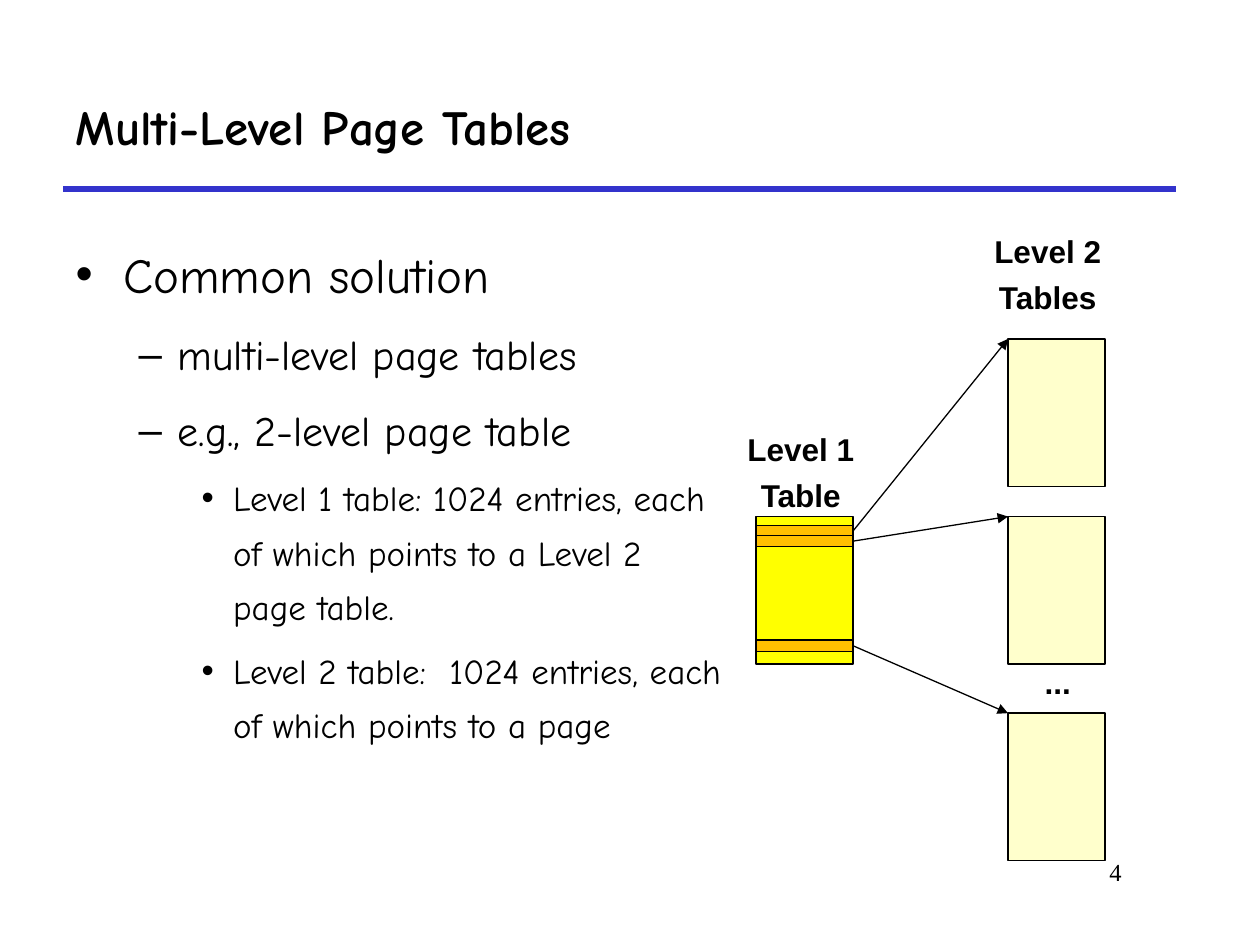
from dataclasses import dataclass

from lxml import etree
from pptx import Presentation, util as u
from pptx.dml.color import RGBColor
from pptx.enum import shapes, text
from pptx.oxml import ns


@dataclass(frozen=True)
class Theme:
    ink: str = "000000"
    rule: str = "3333CC"
    root: str = "FFFF00"
    leaf: str = "FFFFCC"
    entry: str = "FFC000"
    main: str = "Comic Neue"
    label: str = "Arial"
    number: str = "Times New Roman"
    head: int = 28
    tag: int = 18
    small: int = 14
    thin: float = 0.75
    thick: float = 3
    # Per list level: size, space before, left margin, hang, bullet
    levels: tuple = (
        (28, 7, 0.38, 0.38, "•"),
        (24, 6, 0.81, 0.31, "–"),
        (20, 5, 1.25, 0.25, "•"),
    )


def color(code):
    return RGBColor.from_string(code)


def child(node, tag, **attrs):
    return etree.SubElement(node, ns.qn(tag), **attrs)


class Deck:
    def __init__(self, slide, theme):
        self.slide, self.theme = slide, theme

    def place(self, item, left, top, width, height):
        item.left, item.top = u.Inches(left), u.Inches(top)
        item.width, item.height = u.Inches(width), u.Inches(height)

    def style(self, par, face, size, bold=False):
        font = par.font
        font.name, font.size, font.bold = face, u.Pt(size), bold
        font.color.rgb = color(self.theme.ink)

    def title(self, words, *area):
        item = self.slide.shapes.title
        self.place(item, *area)
        frame = item.text_frame
        frame.text = words
        frame.auto_size = text.MSO_AUTO_SIZE.NONE
        frame.vertical_anchor = text.MSO_ANCHOR.MIDDLE
        par = frame.paragraphs[0]
        par.alignment = text.PP_ALIGN.LEFT
        self.style(par, self.theme.main, self.theme.head, True)

    def bullets(self, items, *area):
        item = self.slide.placeholders[1]
        self.place(item, *area)
        frame = item.text_frame
        frame.text = "\n".join(words for _, words in items)
        frame.auto_size = text.MSO_AUTO_SIZE.NONE
        for n, (par, (level, _)) in enumerate(zip(frame.paragraphs, items)):
            size, before, left, hang, mark = self.theme.levels[level]
            par.level = level
            par.line_spacing = 1.3
            par.space_before = u.Pt(before if n else 0)
            props = par._p.get_or_add_pPr()
            props.set("marL", str(u.Inches(left)))
            props.set("indent", str(-u.Inches(hang)))
            child(child(props, "a:buClr"), "a:srgbClr", val=self.theme.ink)
            child(props, "a:buChar", char=mark)
            self.style(par, self.theme.main, size)

    def note(self, words, area, face, size, bold=False, align="CENTER", wrap=False):
        box = self.slide.shapes.add_textbox(*map(u.Inches, area))
        frame = box.text_frame
        frame.word_wrap = wrap
        frame.text = words
        for n, par in enumerate(frame.paragraphs):
            par.alignment = text.PP_ALIGN[align]
            if bold:
                par.line_spacing = 0.9
                par.space_before = u.Pt(6.8 if n else 0)
            self.style(par, face, size, bold)

    def tag(self, words, *area):
        self.note(words, area, self.theme.label, self.theme.tag, bold=True)

    def block(self, fill, *area):
        box = self.slide.shapes.add_shape(
            shapes.MSO_SHAPE.RECTANGLE, *map(u.Inches, area))
        box.shadow.inherit = False
        box.fill.solid()
        box.fill.fore_color.rgb = color(fill)
        box.line.color.rgb = color(self.theme.ink)
        box.line.width = u.Pt(self.theme.thin)

    def line(self, start, end, tint, width, arrow=False):
        link = self.slide.shapes.add_connector(
            shapes.MSO_CONNECTOR.STRAIGHT, *map(u.Inches, start + end))
        link.line.color.rgb = color(tint)
        link.line.width = u.Pt(width)
        if arrow:
            child(link.line._get_or_add_ln(), "a:tailEnd", type="triangle")
        child(link._element.spPr, "a:effectLst")


def main():
    show = Presentation()
    show.slide_width, show.slide_height = u.Inches(10), u.Inches(7.5)
    theme = Theme()
    deck = Deck(show.slides.add_slide(show.slide_layouts[1]), theme)

    # Heading, rule and page number
    deck.line((0.5, 1.5), (9.33, 1.5), theme.rule, theme.thick)
    deck.note("4", (7.58, 6.75, 1.42, 0.5), theme.number, theme.small,
              align="RIGHT", wrap=True)
    deck.title("Multi-Level Page Tables", 0.5, 0.5, 8.83, 1)

    # Explanation
    deck.bullets([
        (0, "Common solution"),
        (1, "multi-level page tables"),
        (1, "e.g., 2-level page table"),
        (2, "Level 1 table: 1024 entries, each of which points to a Level 2 page table."),
        (2, "Level 2 table:  1024 entries, each of which points to a page"),
    ], 0.5, 1.75, 5.33, 4.83)

    # Level 1 table and its labels
    wide, high, row = 0.77, 1.17, 0.09
    root, leaf = 6, 8
    deck.tag("Level 1\nTable", 5.83, 3.4, 1.05, 0.73)
    deck.tag("Level 2\nTables", 7.79, 1.83, 1.05, 0.73)
    deck.tag("...", 8.19, 5.25, 0.41, 0.37)
    deck.block(theme.root, root, 4.1, wide, high)

    # Each used entry points to a Level 2 table
    for entry, top in ((4.17, 2.69), (4.25, 4.1), (5.08, 5.66)):
        deck.block(theme.leaf, leaf, top, wide, high)
        deck.block(theme.entry, root, entry, wide, row)
        deck.line((root + wide, entry + row / 2), (leaf, top),
                  theme.ink, theme.thin, arrow=True)

    show.save("out.pptx")


if __name__ == "__main__":
    main()
